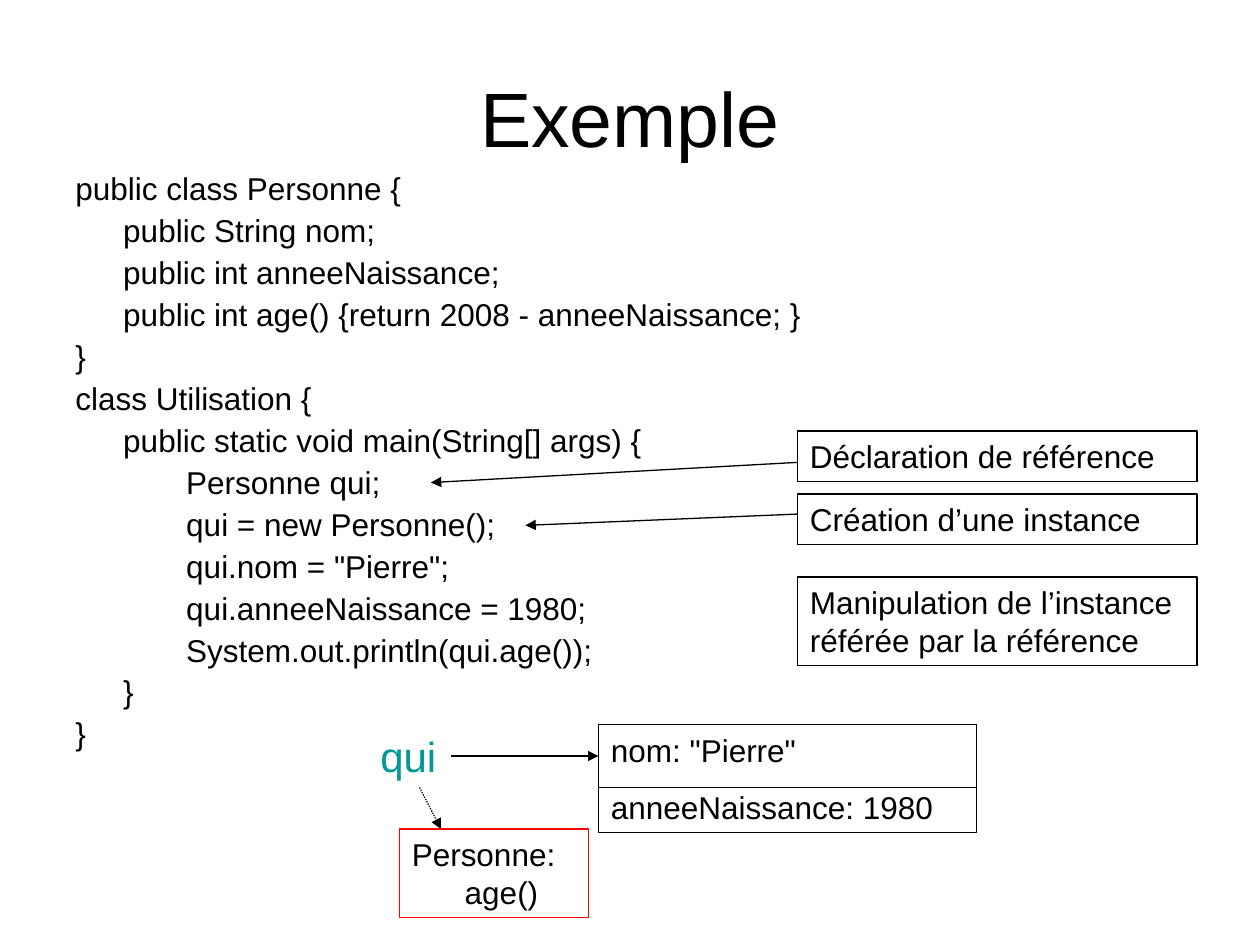
import pptx
import pptx.util
import pptx.dml.color
import pptx.enum.dml
import pptx.enum.shapes
import pptx.enum.text
import pptx.oxml
import pptx.oxml.ns

Inches, Pt = pptx.util.Inches, pptx.util.Pt
RGB = pptx.dml.color.RGBColor
BLACK = RGB(0x00, 0x00, 0x00)
RED = RGB(0xFF, 0x00, 0x00)
TEAL = RGB(0x00, 0x99, 0x99)
DOTS = pptx.enum.dml.MSO_LINE.ROUND_DOT

# Content
TITLE = "Exemple"
CODE = [
    "public class Personne {",
    "\tpublic String nom;",
    "\tpublic int anneeNaissance;",
    "\tpublic int age() {return 2008 - anneeNaissance; }",
    "}",
    "class Utilisation {",
    "\tpublic static void main(String[] args) {",
    "\t\tPersonne qui;",
    "\t\tqui = new Personne();",
    "\t\tqui.nom = \"Pierre\";",
    "\t\tqui.anneeNaissance = 1980;",
    "\t\tSystem.out.println(qui.age());",
    "\t}",
    "}",
]
NOTES = [  # text, top, height
    ("Déclaration de référence", 3.42, 0.4),
    ("Création d’une instance", 3.92, 0.4),
    ("Manipulation de l’instance référée par la référence", 4.58, 0.7),
]
FIELDS = ["nom: \"Pierre\"", "anneeNaissance: 1980"]
METHOD = ["Personne:", "age()"]
LINES = [  # start, end, has arrow, dash
    ((4.75, 6.25), (7.75, 6.25), False, None),
    ((3.58, 6), (4.75, 6), True, None),
    ((3.33, 6.25), (3.5, 6.58), True, DOTS),
    ((6.33, 3.67), (3.42, 3.83), True, None),
    ((6.33, 4.08), (4.17, 4.17), True, None),
]


def style(item, **form):
    for key, val in form.items():
        setattr(item, key, val)


def add_xml(parent, text):
    parent.append(pptx.oxml.parse_xml(
        text.replace("/>", " " + pptx.oxml.ns.nsdecls("a") + "/>", 1)))


def write(para, text, size=18, color=BLACK):
    run = para.add_run()
    run.text = text
    style(run.font, name="Arial", size=Pt(size))
    run.font.color.rgb = color


def fill_text(frame, rows, gap, size=18, color=BLACK):
    style(frame, word_wrap=True,
          vertical_anchor=pptx.enum.text.MSO_ANCHOR.TOP)
    for i, row in enumerate(rows):
        para = frame.add_paragraph() if i else frame.paragraphs[0]
        style(para, alignment=pptx.enum.text.PP_ALIGN.LEFT,
              space_before=Pt(gap if i else 0))
        write(para, row, size, color)
    return frame.paragraphs


def add_box(rows, area, gap=0, edge=BLACK):
    box = slide.shapes.add_shape(
        pptx.enum.shapes.MSO_SHAPE.RECTANGLE, *map(Inches, area))
    box.shadow.inherit = False
    box.fill.background()
    box.line.color.rgb = edge
    box.line.width = Pt(0.75)
    return fill_text(box.text_frame, rows, gap)


def add_line(start, end, arrow, dash):
    line = slide.shapes.add_connector(
        pptx.enum.shapes.MSO_CONNECTOR.STRAIGHT,
        *map(Inches, start + end))
    line.line.color.rgb = BLACK
    line.line.width = Pt(0.75)
    if dash:
        line.line.dash_style = dash
    if arrow:
        add_xml(line.line._get_or_add_ln(), '<a:tailEnd type="triangle"/>')
    add_xml(line._element.spPr, "<a:effectLst/>")


deck = pptx.Presentation()
style(deck, slide_width=Inches(10), slide_height=Inches(7.5))
slide = deck.slides.add_slide(deck.slide_layouts[5])

# Title
title = slide.shapes.title
style(title, left=Inches(0.5), top=Inches(0.3),
      width=Inches(9), height=Inches(1.25))
title.text_frame.vertical_anchor = pptx.enum.text.MSO_ANCHOR.MIDDLE
title.text_frame.paragraphs[0].alignment = pptx.enum.text.PP_ALIGN.CENTER
write(title.text_frame.paragraphs[0], TITLE, 44)

# Code listing, with a tab stop each inch
code = slide.shapes.add_textbox(*map(Inches, (0.5, 1.33, 9, 5.37)))
for para in fill_text(code.text_frame, CODE, 4.5):
    para.line_spacing = 0.9
    props = para._p.get_or_add_pPr()
    props.set("marL", str(Inches(0.38)))
    props.set("indent", str(-Inches(0.38)))
    add_xml(props, "<a:tabLst/>")
    for stop in range(8):
        add_xml(props[-1], f'<a:tab pos="{Inches(stop)}" algn="l"/>')

# Notes beside the code
for text, top, height in NOTES:
    add_box([text], (6.33, top, 3.17, height))

# Reference, instance and class
name = slide.shapes.add_textbox(*map(Inches, (2.92, 5.75, 1.5, 0.5)))
fill_text(name.text_frame, ["qui"], 0, 24, TEAL)
add_box(FIELDS, (4.75, 5.75, 3, 0.86), 11.2)
paras = add_box(METHOD, (3.17, 6.58, 1.5, 0.7), 0, RED)
paras[1]._p.get_or_add_pPr().set("marL", str(Inches(0.42)))

# Lines and arrows
for row in LINES:
    add_line(*row)

deck.save("out.pptx")
